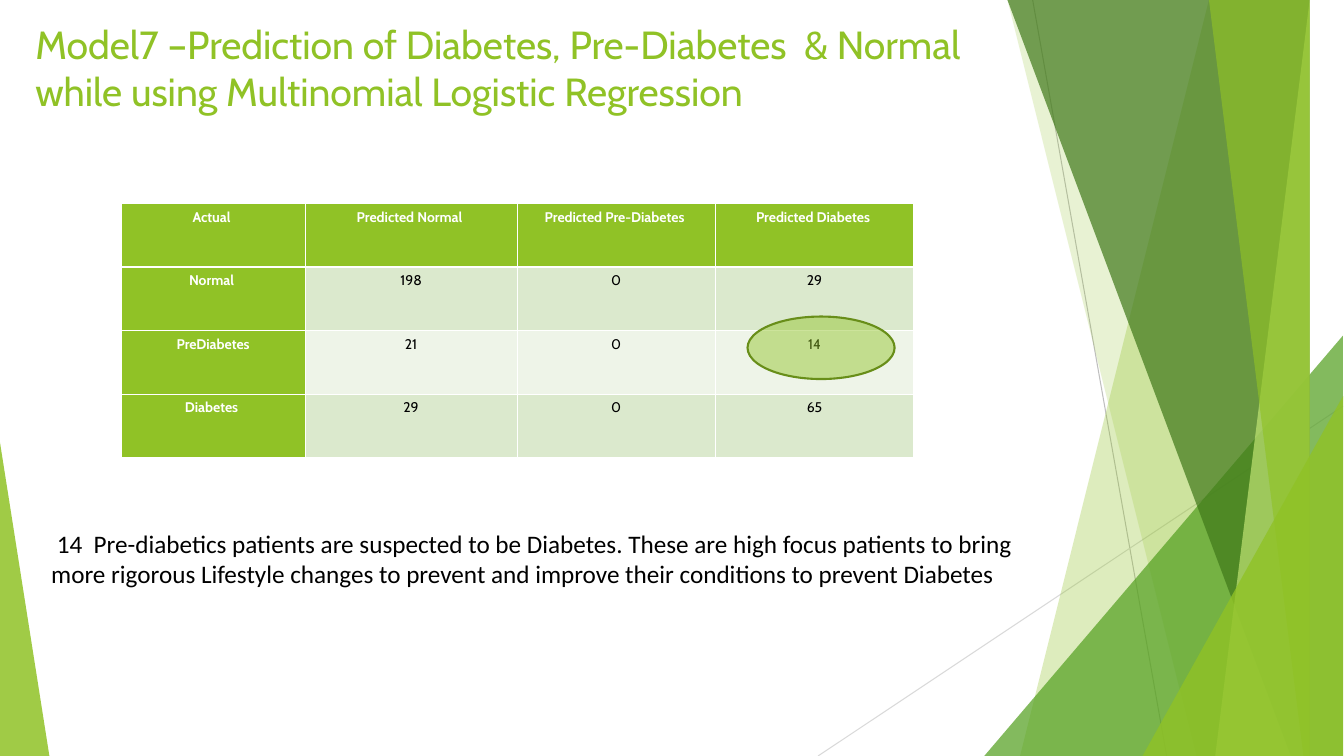
from lxml.etree import SubElement
from pptx import Presentation
from pptx.dml.color import RGBColor
from pptx.enum.shapes import MSO_CONNECTOR, MSO_SHAPE
from pptx.enum.text import MSO_ANCHOR, MSO_AUTO_SIZE, PP_ALIGN
from pptx.oxml.ns import qn
from pptx.util import Inches, Pt

LIME = RGBColor(0x90, 0xC2, 0x26)
LEAF = RGBColor(0x54, 0xA0, 0x21)
PINE = RGBColor(0x3F, 0x78, 0x19)
PALE = RGBColor(0xC0, 0xE4, 0x74)
OLIVE = RGBColor(0x68, 0x8E, 0x19)
BAND = RGBColor(0xDB, 0xE9, 0xCD)
MIST = RGBColor(0xEE, 0xF4, 0xE8)
GREY = RGBColor(0xBF, 0xBF, 0xBF)
SILVER = RGBColor(0xD9, 0xD9, 0xD9)
WHITE = RGBColor(0xFF, 0xFF, 0xFF)
BLACK = RGBColor(0, 0, 0)

RIGHT, TOP, FOOT = 13.33, -0.01, 7.5


class Deck:
    head_font = "Cabin"
    body_font = "Calibri"

    def __init__(self):
        self.prs = Presentation()
        self.prs.slide_width = Inches(13.34)
        self.prs.slide_height = Inches(7.5)
        self.slide = self.prs.slides.add_slide(self.prs.slide_layouts[5])
        self.shapes = self.slide.shapes

    def run(self, para, text, size, font, color, bold=False):
        run = para.add_run()
        run.text = text
        run.font.size = Pt(size)
        run.font.name = font
        run.font.color.rgb = color
        run.font.bold = bold

    def paint(self, shape, color, alpha):
        shape.shadow.inherit = False
        shape.fill.solid()
        shape.fill.fore_color.rgb = color
        tint = shape.element.spPr.find(qn("a:solidFill"))[0]
        SubElement(tint, qn("a:alpha"), val=str(alpha * 1000))
        shape.line.fill.background()

    def line(self, x1, y1, x2, y2, color):
        ends = [Inches(v) for v in (x1, y1, x2, y2)]
        line = self.shapes.add_connector(MSO_CONNECTOR.STRAIGHT, *ends)
        line.line.color.rgb = color
        line.line.width = Pt(0.75)
        SubElement(line.element.spPr, qn("a:effectLst"))

    def blade(self, top, foot, color, alpha):
        """Panel from a slanted left side to the right edge."""
        pen = self.shapes.build_freeform(top, TOP, scale=Inches(1))
        pen.add_line_segments([(RIGHT, TOP), (RIGHT, FOOT), (foot, FOOT)])
        self.paint(pen.convert_to_shape(), color, alpha)

    def wedge(self, x, y, width, tip, color, alpha):
        """Triangle standing on the bottom edge."""
        box = [Inches(v) for v in (x, y, width, FOOT - y)]
        shape = self.shapes.add_shape(MSO_SHAPE.ISOSCELES_TRIANGLE, *box)
        shape.adjustments[0] = tip
        self.paint(shape, color, alpha)

    def oval(self, x, y, width, height, color, alpha, edge):
        box = [Inches(v) for v in (x, y, width, height)]
        shape = self.shapes.add_shape(MSO_SHAPE.OVAL, *box)
        self.paint(shape, color, alpha)
        shape.line.color.rgb = edge
        shape.line.width = Pt(1.5)

    def title(self, x, y, width, height, lines):
        title = self.shapes.title
        title.left, title.top = Inches(x), Inches(y)
        title.width, title.height = Inches(width), Inches(height)
        frame = title.text_frame
        frame.word_wrap = True
        frame.auto_size = MSO_AUTO_SIZE.NONE
        frame.vertical_anchor = MSO_ANCHOR.TOP
        para = frame.paragraphs[0]
        para.alignment = PP_ALIGN.LEFT
        for num, text in enumerate(lines):
            if num:
                para.add_line_break()
            self.run(para, text, 28, self.head_font, LIME)

    def note(self, x, y, width, height, text):
        box = [Inches(v) for v in (x, y, width, height)]
        frame = self.shapes.add_textbox(*box).text_frame
        frame.word_wrap = True
        frame.auto_size = MSO_AUTO_SIZE.SHAPE_TO_FIT_TEXT
        self.run(frame.paragraphs[0], text, 18, self.body_font, BLACK)

    def edges(self, cell, row):
        props = cell._tc.get_or_add_tcPr()
        thick = {"T": row == 1, "B": row == 0}
        for side in "LRTB":
            width = Pt(1.47 if thick.get(side) else 0.45)
            edge = SubElement(props, qn("a:ln" + side), w=str(width))
            fill = SubElement(edge, qn("a:solidFill"))
            SubElement(fill, qn("a:srgbClr"), val=str(WHITE))

    def table(self, x, y, widths, height, data):
        box = [Inches(v) for v in (x, y, sum(widths), height * len(data))]
        table = self.shapes.add_table(len(data), len(widths), *box).table
        for col, width in zip(table.columns, widths):
            col.width = Inches(width)
        for r, row in enumerate(data):
            table.rows[r].height = Inches(height)
            for c, text in enumerate(row):
                cell = table.cell(r, c)
                head = r == 0 or c == 0
                cell.margin_left = cell.margin_right = Inches(0.08)
                cell.margin_top = cell.margin_bottom = Inches(0.05)
                self.edges(cell, r)
                cell.fill.solid()
                cell.fill.fore_color.rgb = LIME if head else BAND if r % 2 else MIST
                para = cell.text_frame.paragraphs[0]
                para.alignment = PP_ALIGN.CENTER
                self.run(para, text, 10, self.head_font, WHITE if head else BLACK, head)


def main():
    deck = Deck()

    # Green backdrop
    deck.line(10.25, 0, 11.58, FOOT, GREY)
    deck.line(RIGHT, 4.03, 8.12, FOOT, SILVER)
    deck.blade(12.28, 10.04, LIME, 30)
    deck.blade(10.5, 11.82, LIME, 20)
    deck.wedge(9.77, 3.33, 3.56, 1, LEAF, 72)
    deck.blade(10.21, 12.91, PINE, 70)
    deck.blade(13.03, 11.92, PALE, 70)
    deck.blade(11.96, 13.18, LIME, 65)
    deck.wedge(11.34, 3.93, 1.99, 1, LIME, 80)
    deck.wedge(0, 4.39, 0.49, 0, LIME, 85)

    # Title
    deck.title(0.25, 0.15, 10.87, 1.87, [
        "Model7 –Prediction of Diabetes, Pre-Diabetes  & Normal",
        "while using Multinomial Logistic Regression",
    ])

    # Confusion matrix
    deck.table(1.2, 2.02, [1.83, 2.1, 1.97, 1.97], 0.63, [
        ["Actual ", "Predicted Normal ", "Predicted Pre-Diabetes ", "Predicted Diabetes "],
        ["Normal ", "198", "0", "29"],
        ["PreDiabetes", "21", "0", "14"],
        ["Diabetes ", "29", "0", "65"],
    ])
    deck.oval(7.42, 3.14, 1.46, 0.62, LIME, 46, OLIVE)

    # Takeaway
    deck.note(0.41, 5.19, 9.83, 0.7,
              " 14  Pre-diabetics patients are suspected to be Diabetes. "
              "These are high focus patients to bring more rigorous Lifestyle "
              "changes to prevent and improve their conditions to prevent Diabetes")

    deck.prs.save("out.pptx")


if __name__ == "__main__":
    main()
